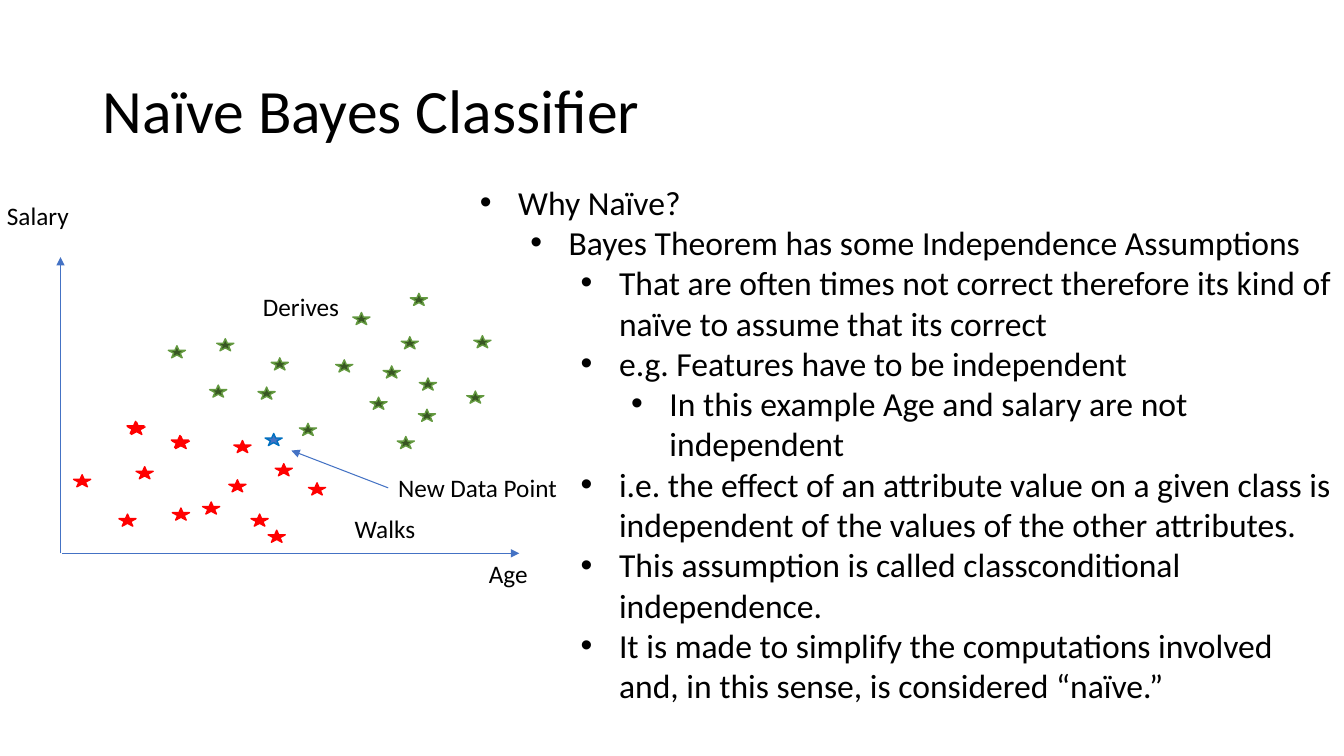
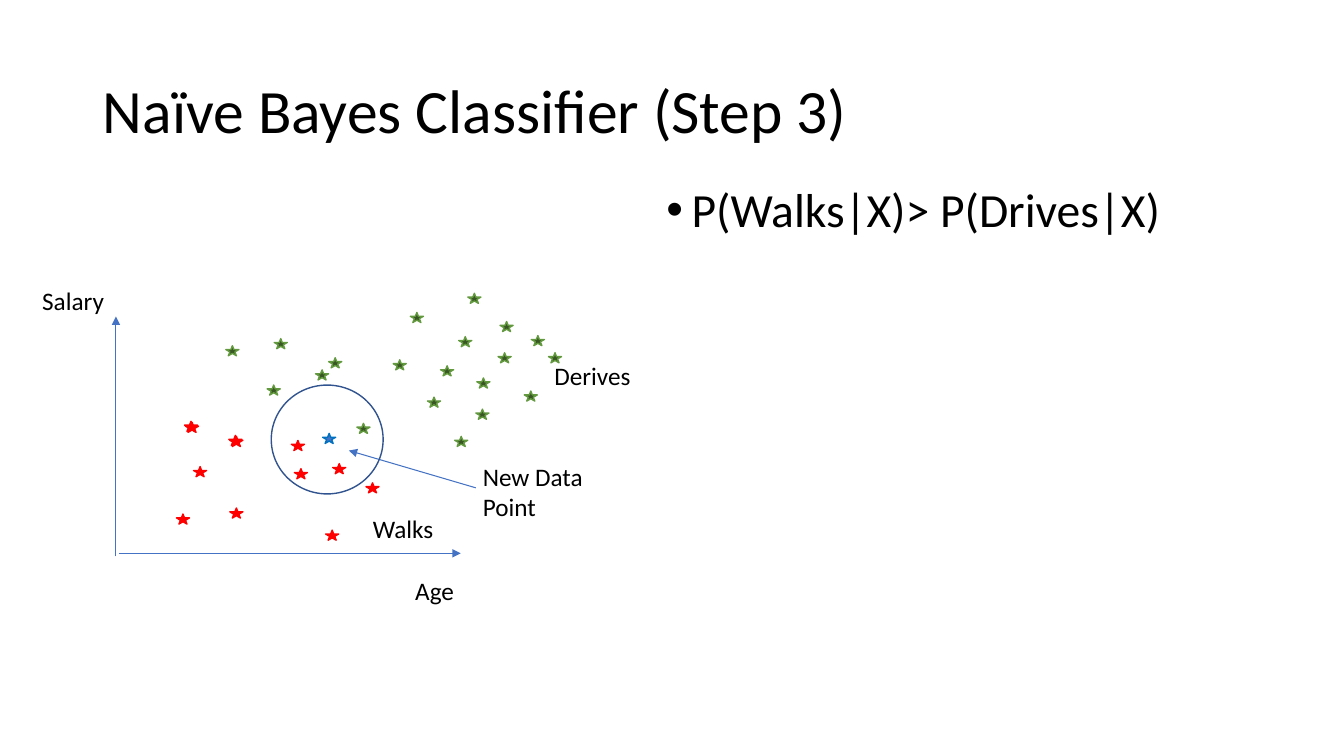
import pptx
import pptx.dml.color
import pptx.enum.shapes
import pptx.enum.text
import pptx.oxml
import pptx.oxml.ns
import pptx.util

COLORS = {
    "ink": "000000", "axis": "4472C4", "ring": "31538F",
    "red": "FF0000", "green": "385623", "edge": "63993F", "rim": "0070C0",
}
STARS = {"walk": ("red", "red"), "drive": ("green", "edge"), "new": ("axis", "rim")}
FONT = "Calibri"
TITLE_BOX = (0.92, 0.4, 11.5, 1.45)

# Points both slides show; each slide shifts them sideways.
POINTS = {
    "walk": [
        (1.35, 4.63), (1.26, 4.18), (1.7, 4.32), (1.18, 5.1), (2.32, 4.37),
        (3.06, 4.79), (1.27, 4.19), (1.71, 4.33), (1.71, 5.04), (2.73, 4.6),
        (2.66, 5.26),
    ],
    "drive": [
        (2.69, 3.55), (3.5, 3.1), (1.67, 3.43), (3.67, 3.94), (3.98, 3.34),
        (4.16, 3.75), (4.15, 4.06), (4.63, 3.88), (4.07, 2.91), (4.7, 3.33),
        (2.08, 3.82), (2.15, 3.36), (2.97, 4.2), (3.33, 3.57), (3.94, 4.33),
        (3.8, 3.63),
    ],
    "new": [(2.63, 4.3)],
}

SLIDES = [
    {
        "title": "Naïve Bayes Classifier",
        "shift": 0,
        "star": (0.17, 0.12),
        "extra": {
            "walk": [(0.73, 4.71), (2.01, 4.98), (2.49, 5.1), (2.27, 4.76)],
            "drive": [(2.56, 3.84)],
        },
        "arrows": [
            (0.62, 5.49, 5.15, 5.49), (0.6, 5.49, 0.6, 2.55), (3.85, 4.84, 2.89, 4.47),
        ],
        "labels": [
            ("Salary", (-0.03, 1.94, 0.85, 0.4)),
            ("Age", (4.75, 5.49, 0.99, 0.4)),
            ("Walks", (3.42, 5.04, 1.03, 0.4)),
            ("Derives", (2.51, 2.84, 1.02, 0.4)),
            ("New Data Point", (3.85, 4.64, 2.02, 0.4)),
        ],
        "list": {
            "box": (4.66, 1.75, 8.67, 5.35), "size": 24, "hang": 0.38, "lead": 1.0,
            "items": [
                (0, "Why Naïve?"),
                (1, "Bayes Theorem has some Independence Assumptions"),
                (2, "That are often times not correct therefore its kind of naïve "
                    "to assume that its correct"),
                (2, "e.g. Features have to be independent"),
                (3, "In this example Age and salary are not independent"),
                (2, "i.e. the effect of an attribute value on a given class is "
                    "independent of the values of the other attributes."),
                (2, "This assumption is called classconditional independence."),
                (2, "It is made to simplify the computations involved and, in this "
                    "sense, is considered “naïve.”"),
            ],
        },
    },
    {
        "title": "Naïve Bayes Classifier (Step 3)",
        "shift": 0.57,
        "star": (0.13, 0.1),
        "extra": {
            "walk": [(2.92, 4.65)],
            "drive": [(3.13, 3.67), (5.44, 3.5), (4.96, 3.19), (4.94, 3.5)],
        },
        "arrows": [
            (1.18, 5.49, 4.57, 5.49), (1.15, 5.52, 1.15, 3.14), (4.72, 4.84, 3.46, 4.47),
        ],
        "labels": [
            ("Salary", (0.32, 2.78, 1.05, 0.4)),
            ("Age", (4.02, 5.66, 0.74, 0.33)),
            ("Walks", (3.6, 5.04, 1.16, 0.4)),
            ("Derives", (5.4, 3.53, 0.96, 0.4)),
            ("New Data Point", (4.69, 4.53, 1.5, 0.33)),
        ],
        "list": {
            "box": (6.51, 1.8, 6.67, 4.76), "size": 34, "hang": 0.25, "lead": 0.9,
            "items": [(0, "P(Walks|X)> P(Drives|X)")],
        },
        "ring": (2.69, 3.82, 1.11, 1.08),
    },
]


def inches(nums):
    return [pptx.util.Inches(num) for num in nums]


def color(name):
    return pptx.dml.color.RGBColor.from_string(COLORS[name])


def assign(thing, values):
    for name, value in values.items():
        setattr(thing, name, value)


def place(shape, box):
    assign(shape, dict(zip(("left", "top", "width", "height"), inches(box))))


def add_xml(parent, tag, **attrs):
    """Append a drawing element with these attributes."""
    node = pptx.oxml.parse_xml(f"<a:{tag} {pptx.oxml.ns.nsdecls('a')}/>")
    for name, value in attrs.items():
        node.set(name, value)
    parent.append(node)
    return node


def write(para, text, size):
    run = para.add_run()
    run.text = text
    assign(run.font, {"name": FONT, "size": pptx.util.Pt(size)})
    run.font.color.rgb = color("ink")


def set_frame(frame, anchor):
    assign(frame, {
        "word_wrap": True,
        "auto_size": pptx.enum.text.MSO_AUTO_SIZE.NONE,
        "vertical_anchor": anchor,
    })


def add_title(slide, text):
    title = slide.shapes.title
    place(title, TITLE_BOX)
    set_frame(title.text_frame, pptx.enum.text.MSO_ANCHOR.MIDDLE)
    para = title.text_frame.paragraphs[0]
    assign(para, {"alignment": pptx.enum.text.PP_ALIGN.LEFT, "line_spacing": 0.9})
    write(para, text, 44)


def add_list(slide, part):
    body = slide.placeholders[1]
    place(body, part["box"])
    frame = body.text_frame
    set_frame(frame, pptx.enum.text.MSO_ANCHOR.TOP)
    hang = pptx.util.Inches(part["hang"])
    for spot, (level, text) in enumerate(part["items"]):
        para = frame.add_paragraph() if spot else frame.paragraphs[0]
        assign(para, {
            "level": level,
            "line_spacing": part["lead"],
            "space_before": pptx.util.Pt(0),
        })
        props = para._p.get_or_add_pPr()
        props.set("marL", str(hang + level * pptx.util.Inches(0.5)))
        props.set("indent", str(-hang))
        add_xml(add_xml(props, "buClr"), "srgbClr", val=COLORS["ink"])
        add_xml(props, "buFont", typeface="Arial")
        add_xml(props, "buChar", char="•")
        write(para, text, part["size"])


def add_label(slide, text, box):
    frame = slide.shapes.add_textbox(*inches(box)).text_frame
    set_frame(frame, pptx.enum.text.MSO_ANCHOR.TOP)
    write(frame.paragraphs[0], text, 18)


def add_arrow(slide, ends):
    kind = pptx.enum.shapes.MSO_CONNECTOR.STRAIGHT
    arrow = slide.shapes.add_connector(kind, *inches(ends))
    arrow.line.color.rgb = color("axis")
    arrow.line.width = pptx.util.Pt(0.75)
    add_xml(arrow.line._get_or_add_ln(), "tailEnd", type="triangle")
    add_xml(arrow._element.spPr, "effectLst")


def add_mark(slide, kind, box, fill, edge):
    """Draw an outlined shape, hollow when fill is None."""
    mark = slide.shapes.add_shape(kind, *inches(box))
    mark.shadow.inherit = False
    if fill:
        mark.fill.solid()
        mark.fill.fore_color.rgb = color(fill)
    else:
        mark.fill.background()
    mark.line.color.rgb = color(edge)
    mark.line.width = pptx.util.Pt(1)


def add_plot(slide, data):
    shapes = pptx.enum.shapes.MSO_SHAPE
    for ends in data["arrows"]:
        add_arrow(slide, ends)
    for group, points in POINTS.items():
        moved = [(left + data["shift"], top) for left, top in points]
        for point in moved + data["extra"].get(group, []):
            add_mark(slide, shapes.STAR_5_POINT, point + data["star"], *STARS[group])
    for text, box in data["labels"]:
        add_label(slide, text, box)
    if "ring" in data:
        add_mark(slide, shapes.FLOWCHART_CONNECTOR, data["ring"], None, "ring")


def main():
    deck = pptx.Presentation()
    deck.slide_width, deck.slide_height = inches((13.33, 7.5))
    for data in SLIDES:
        slide = deck.slides.add_slide(deck.slide_layouts[1])
        add_title(slide, data["title"])
        add_plot(slide, data)
        add_list(slide, data["list"])
    deck.save("out.pptx")


if __name__ == "__main__":
    main()
